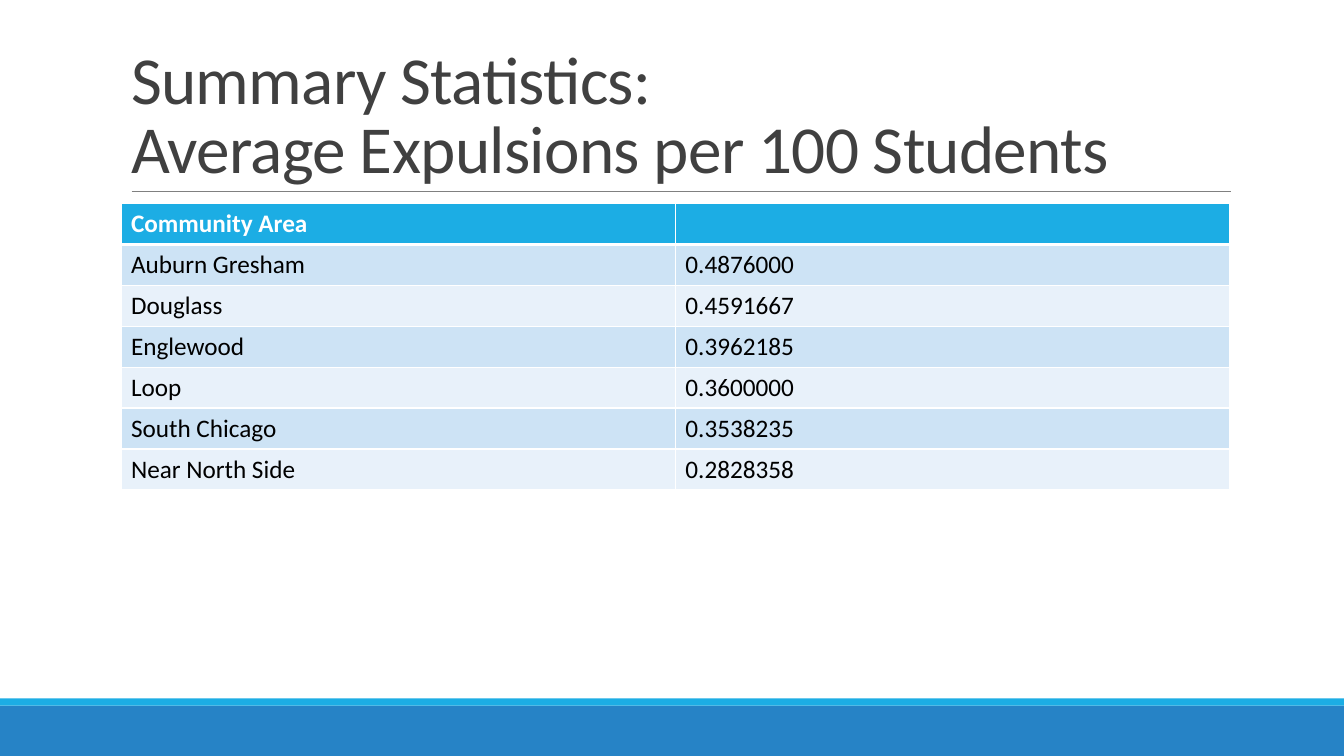
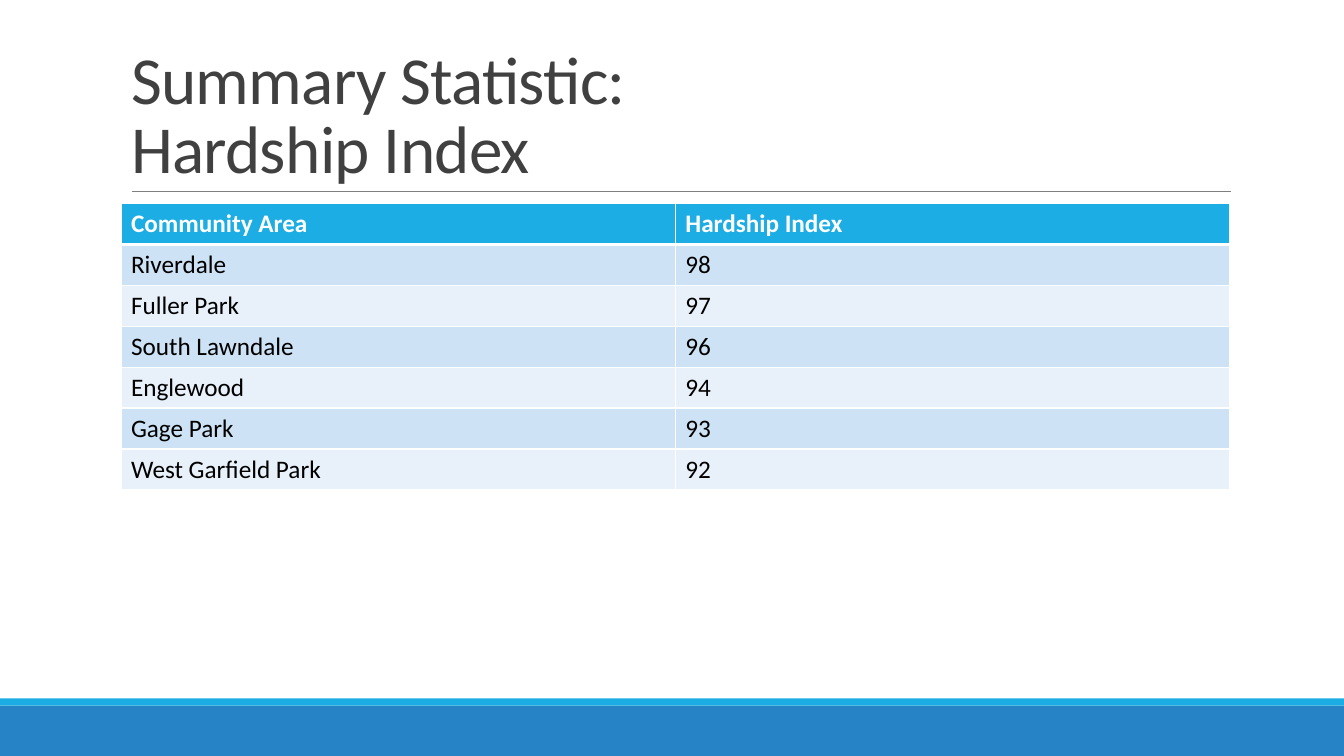
from lxml import etree
from pptx import Presentation
from pptx.dml.color import RGBColor
from pptx.enum import shapes, text
from pptx.oxml import ns
from pptx.util import Pt

WHITE = RGBColor(0xFF, 0xFF, 0xFF)
BLACK = RGBColor(0x00, 0x00, 0x00)
CHARCOAL = RGBColor(0x40, 0x40, 0x40)
GREY = RGBColor(0x80, 0x80, 0x80)
BLUE = RGBColor(0x26, 0x83, 0xC6)
CYAN = RGBColor(0x1C, 0xAD, 0xE4)
ROW_TINTS = (RGBColor(0xE8, 0xF1, 0xFA), RGBColor(0xCD, 0xE3, 0xF5))

FONT = "Calibri"
WIDTH, HEIGHT = 960, 540
LEFT, CONTENT_WIDTH = 86.4, 792
TITLE_TOP, TITLE_HEIGHT = 22.5, 114.5
RULE_LEFT, RULE_RIGHT, RULE_TOP = 94, 879, 136.8
TABLE_TOP, ROW_HEIGHT = 145.5, 29.2
FOOTER_TOP, STRIPE_HEIGHT = 504, 5.2

EXPULSIONS = [
    ("Community Area", ""),
    ("Auburn Gresham", "0.4876000"),
    ("Douglass", "0.4591667"),
    ("Englewood", "0.3962185"),
    ("Loop", "0.3600000"),
    ("South Chicago", "0.3538235"),
    ("Near North Side", "0.2828358"),
]
HARDSHIP = [
    ("Community Area", "Hardship Index"),
    ("Riverdale", "98"),
    ("Fuller Park", "97"),
    ("South Lawndale", "96"),
    ("Englewood", "94"),
    ("Gage Park", "93"),
    ("West Garfield Park", "92"),
]


def set_font(paragraph, size, color, bold=False):
    font = paragraph.font
    font.name, font.size, font.bold = FONT, Pt(size), bold
    font.color.rgb = color


def set_borders(cell, **widths):
    """Draw white cell borders; widths in points are keyed L, R, T and B."""
    properties = cell._tc.get_or_add_tcPr()
    for side, width in widths.items():
        border = etree.SubElement(properties, ns.qn(f"a:ln{side}"), w=str(Pt(width)))
        fill = etree.SubElement(border, ns.qn("a:solidFill"))
        etree.SubElement(fill, ns.qn("a:srgbClr"), val=str(WHITE))


class Deck:
    def __init__(self):
        self.presentation = Presentation()
        self.presentation.slide_width = Pt(WIDTH)
        self.presentation.slide_height = Pt(HEIGHT)
        self.slide = None

    def add_slide(self, title, rows):
        layout = self.presentation.slide_layouts.get_by_name("Title Only")
        self.slide = self.presentation.slides.add_slide(layout)
        self.band(FOOTER_TOP, HEIGHT - FOOTER_TOP, BLUE)
        self.band(FOOTER_TOP - STRIPE_HEIGHT, STRIPE_HEIGHT, CYAN)
        self.rule()
        self.title(title)
        self.table(rows)

    def band(self, top, height, color):
        band = self.slide.shapes.add_shape(
            shapes.MSO_SHAPE.RECTANGLE, 0, Pt(top), Pt(WIDTH), Pt(height))
        band.shadow.inherit = False
        band.fill.solid()
        band.fill.fore_color.rgb = color
        band.line.fill.background()

    def rule(self):
        rule = self.slide.shapes.add_connector(
            shapes.MSO_CONNECTOR.STRAIGHT,
            Pt(RULE_LEFT), Pt(RULE_TOP), Pt(RULE_RIGHT), Pt(RULE_TOP))
        rule.line.color.rgb = GREY
        rule.line.width = Pt(0.5)
        etree.SubElement(rule._element.spPr, ns.qn("a:effectLst"))

    def title(self, wording):
        title = self.slide.shapes.title
        title.left, title.top = Pt(LEFT), Pt(TITLE_TOP)
        title.width, title.height = Pt(CONTENT_WIDTH), Pt(TITLE_HEIGHT)
        frame = title.text_frame
        frame.auto_size = text.MSO_AUTO_SIZE.NONE
        frame.vertical_anchor = text.MSO_ANCHOR.BOTTOM
        paragraph = frame.paragraphs[0]
        paragraph.text = wording
        paragraph.alignment = text.PP_ALIGN.LEFT
        paragraph.line_spacing = 0.85
        set_font(paragraph, 48, CHARCOAL)
        paragraph.font._element.set("spc", "-50")

    def table(self, rows):
        columns = len(rows[0])
        table = self.slide.shapes.add_table(
            len(rows), columns, Pt(LEFT), Pt(TABLE_TOP),
            Pt(CONTENT_WIDTH), Pt(ROW_HEIGHT * len(rows))).table
        table.horz_banding = False
        for r, values in enumerate(rows):
            is_header = r == 0
            for c, value in enumerate(values):
                cell = table.cell(r, c)
                cell.text = value
                set_font(cell.text_frame.paragraphs[0], 18,
                         WHITE if is_header else BLACK, is_header)
                set_borders(cell, L=1, R=1, T=3 if r == 1 else 1,
                            B=3 if is_header else 1)
                cell.fill.solid()
                cell.fill.fore_color.rgb = CYAN if is_header else ROW_TINTS[r % 2]


def main():
    deck = Deck()
    deck.add_slide("Summary Statistics: \vAverage Expulsions per 100 Students", EXPULSIONS)
    deck.add_slide("Summary Statistic:\vHardship Index", HARDSHIP)
    deck.presentation.save("out.pptx")


if __name__ == "__main__":
    main()
